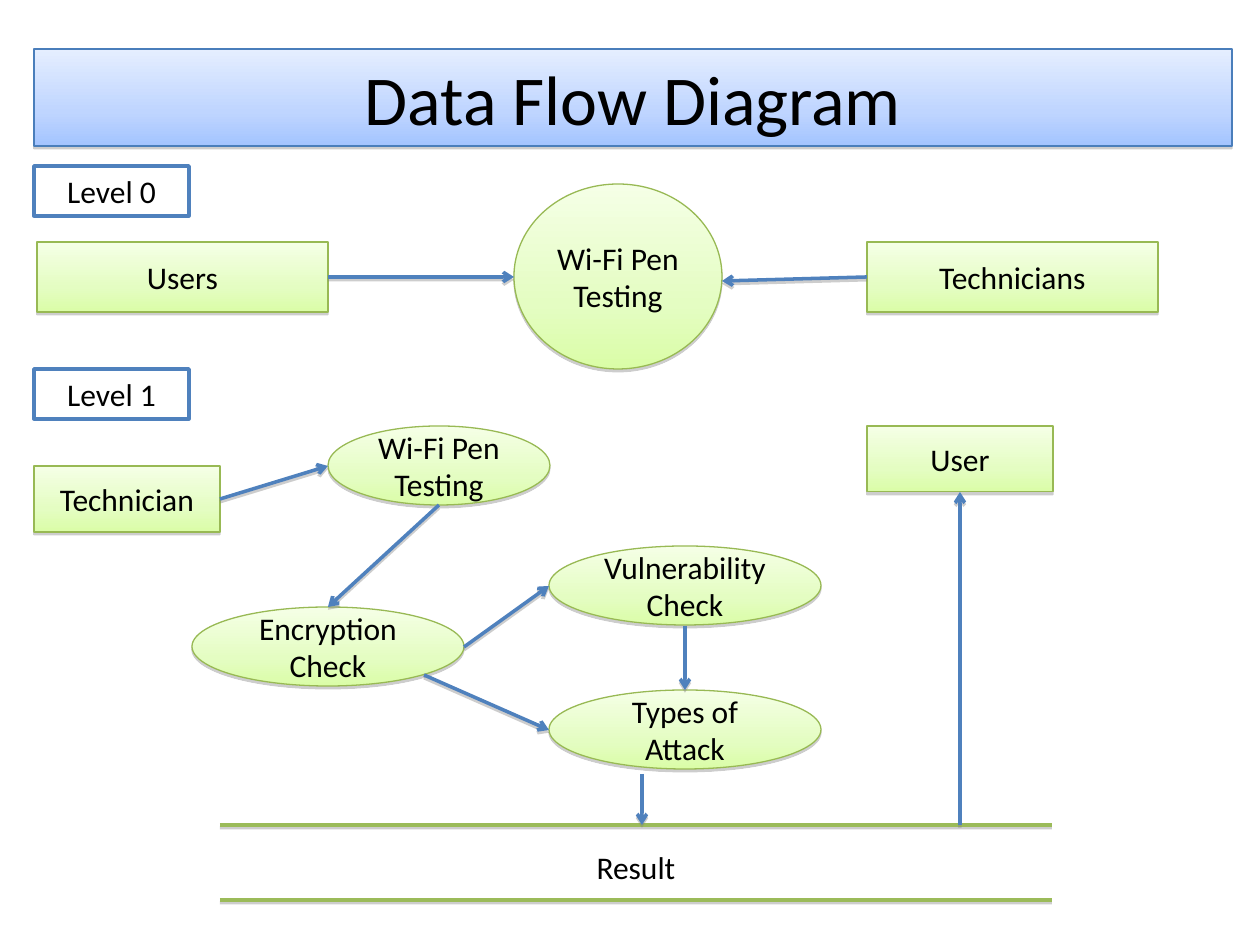
from copy import deepcopy
from dataclasses import dataclass
from typing import Optional

from lxml import etree
from pptx import Presentation
from pptx.dml.color import RGBColor
from pptx.enum.shapes import MSO_CONNECTOR, MSO_SHAPE
from pptx.enum.text import MSO_ANCHOR, MSO_AUTO_SIZE, PP_ALIGN
from pptx.oxml.ns import qn
from pptx.util import Emu, Pt

RECTANGLE, ELLIPSE = MSO_SHAPE.RECTANGLE, MSO_SHAPE.OVAL
STRAIGHT = MSO_CONNECTOR.STRAIGHT
TOP, MIDDLE = MSO_ANCHOR.TOP, MSO_ANCHOR.MIDDLE
CENTER = PP_ALIGN.CENTER
FIT_SHAPE, NO_FIT = MSO_AUTO_SIZE.SHAPE_TO_FIT_TEXT, MSO_AUTO_SIZE.NONE
TOP_SIDE, LEFT_SIDE, BOTTOM_SIDE, RIGHT_SIDE = range(4)

EMU_PER_PX = 914400 // 126
FONT = "Calibri"
BLACK, WHITE, BLUE, GREEN = "000000", "FFFFFF", "4F81BD", "9BBB59"
STOP_POSITIONS = (0, 0.65, 1)
GREEN_STOPS = ("F5FFE6", "E4FDC2", "DAFDA7")
BLUE_STOPS = ("E5EEFF", "BFD5FF", "A3C4FF")


@dataclass(frozen=True)
class Box:
    name: str
    text: str
    left: int
    top: int
    width: int
    height: int
    geometry: int = RECTANGLE
    fills: tuple[str, ...] = GREEN_STOPS
    outline: str = "98B954"
    outline_width: float = 0.75
    size: int = 18
    fits_text: bool = False


@dataclass(frozen=True)
class Line:
    begin: tuple[int, int]
    end: tuple[int, int]
    color: str = BLUE
    arrow: bool = True
    begin_join: Optional[tuple[str, int]] = None
    end_join: Optional[tuple[str, int]] = None


def level_label(text: str, top: int) -> Box:
    return Box(text, text, 34, top, 155, 50, fills=(WHITE,), outline=BLUE,
               outline_width=2, fits_text=True)


def process(name: str, text: str, left: int, top: int, width: int = 272, height: int = 79) -> Box:
    return Box(name, text, left, top, width, height, geometry=ELLIPSE)


BOXES = (
    Box("title", "Data Flow Diagram", 34, 49, 1198, 97, fills=BLUE_STOPS,
        outline="4A7EBB", size=40, fits_text=True),
    # Level 0
    level_label("Level 0", 166),
    Box("users", "Users", 37, 242, 291, 70),
    Box("technicians", "Technicians", 867, 242, 291, 70),
    process("overview", "Wi-Fi Pen Testing", 514, 184, 208, 185),
    # Level 1
    level_label("Level 1", 369),
    Box("technician", "Technician", 34, 466, 186, 66),
    Box("user", "User", 867, 426, 186, 66),
    process("testing", "Wi-Fi Pen Testing", 328, 426, 222),
    process("vulnerability", "Vulnerability Check", 549, 546),
    process("encryption", "Encryption Check", 192, 607),
    process("attack", "Types of Attack", 549, 690),
)

LINES = (
    # Level 0 flows
    Line((328, 277), (514, 277), begin_join=("users", RIGHT_SIDE)),
    Line((867, 277), (722, 281), begin_join=("technicians", LEFT_SIDE)),
    # Result data store
    Line((220, 825), (1052, 825), color=GREEN, arrow=False),
    Line((220, 900), (1052, 900), color=GREEN, arrow=False),
    # Level 1 flows
    Line((220, 499), (328, 466), begin_join=("technician", RIGHT_SIDE)),
    Line((424, 675), (549, 730)),
    Line((642, 774), (642, 825)),
    Line((439, 505), (328, 607)),
    Line((960, 825), (960, 492), end_join=("user", BOTTOM_SIDE)),
    Line((464, 647), (549, 586)),
    Line((685, 626), (685, 690)),
)


def px(value: int) -> Emu:
    return Emu(value * EMU_PER_PX)


def rgb(value: str) -> RGBColor:
    return RGBColor.from_string(value)


def set_gradient(shape, colors: tuple[str, ...]) -> None:
    fill = shape.fill
    fill.gradient()
    fill.gradient_angle = 270
    stop_list = shape._element.spPr.find(".//" + qn("a:gsLst"))
    stop_list.append(deepcopy(stop_list[-1]))
    for stop, position, color in zip(fill.gradient_stops, STOP_POSITIONS, colors):
        stop.position = position
        stop.color.rgb = rgb(color)


def add_effects(shape, shadow: bool) -> None:
    effects = etree.SubElement(shape._element.spPr, qn("a:effectLst"))
    if shadow:
        outer = etree.SubElement(effects, qn("a:outerShdw"), blurRad="0", dist="20000",
                                 dir="5400000", rotWithShape="0")
        color = etree.SubElement(outer, qn("a:srgbClr"), val="808080")
        etree.SubElement(color, qn("a:alpha"), val="38000")


def write_text(shape, text: str, size: int, fits_text: bool) -> None:
    frame = shape.text_frame
    frame.word_wrap = True
    frame.auto_size = FIT_SHAPE if fits_text else NO_FIT
    frame.vertical_anchor = TOP if fits_text else MIDDLE
    paragraph = frame.paragraphs[0]
    paragraph.text = text
    paragraph.alignment = CENTER
    paragraph.font.name = FONT
    paragraph.font.size = Pt(size)
    paragraph.font.color.rgb = rgb(BLACK)


def draw_box(slide, box: Box):
    shape = slide.shapes.add_shape(box.geometry, px(box.left), px(box.top),
                                   px(box.width), px(box.height))
    has_gradient = len(box.fills) > 1
    if has_gradient:
        set_gradient(shape, box.fills)
    else:
        shape.fill.solid()
        shape.fill.fore_color.rgb = rgb(box.fills[0])
    shape.line.color.rgb = rgb(box.outline)
    shape.line.width = Pt(box.outline_width)
    add_effects(shape, shadow=has_gradient)
    write_text(shape, box.text, box.size, box.fits_text)
    return shape


def draw_line(slide, line: Line, shapes: dict) -> None:
    connector = slide.shapes.add_connector(STRAIGHT, *map(px, line.begin + line.end))
    if line.begin_join:
        name, side = line.begin_join
        connector.begin_connect(shapes[name], side)
    if line.end_join:
        name, side = line.end_join
        connector.end_connect(shapes[name], side)
    connector.line.color.rgb = rgb(line.color)
    connector.line.width = Pt(2)
    if line.arrow:
        outline = connector._element.spPr.find(qn("a:ln"))
        etree.SubElement(outline, qn("a:tailEnd"), type="arrow")
    add_effects(connector, shadow=True)


def main() -> None:
    presentation = Presentation()
    presentation.slide_width = px(1260)
    presentation.slide_height = px(945)
    slide = presentation.slides.add_slide(presentation.slide_layouts[6])

    shapes = {box.name: draw_box(slide, box) for box in BOXES}
    for line in LINES:
        draw_line(slide, line, shapes)

    # Data store label
    result = slide.shapes.add_textbox(px(220), px(842), px(832), px(50))
    write_text(result, "Result", 18, fits_text=True)

    presentation.save("out.pptx")


if __name__ == "__main__":
    main()
